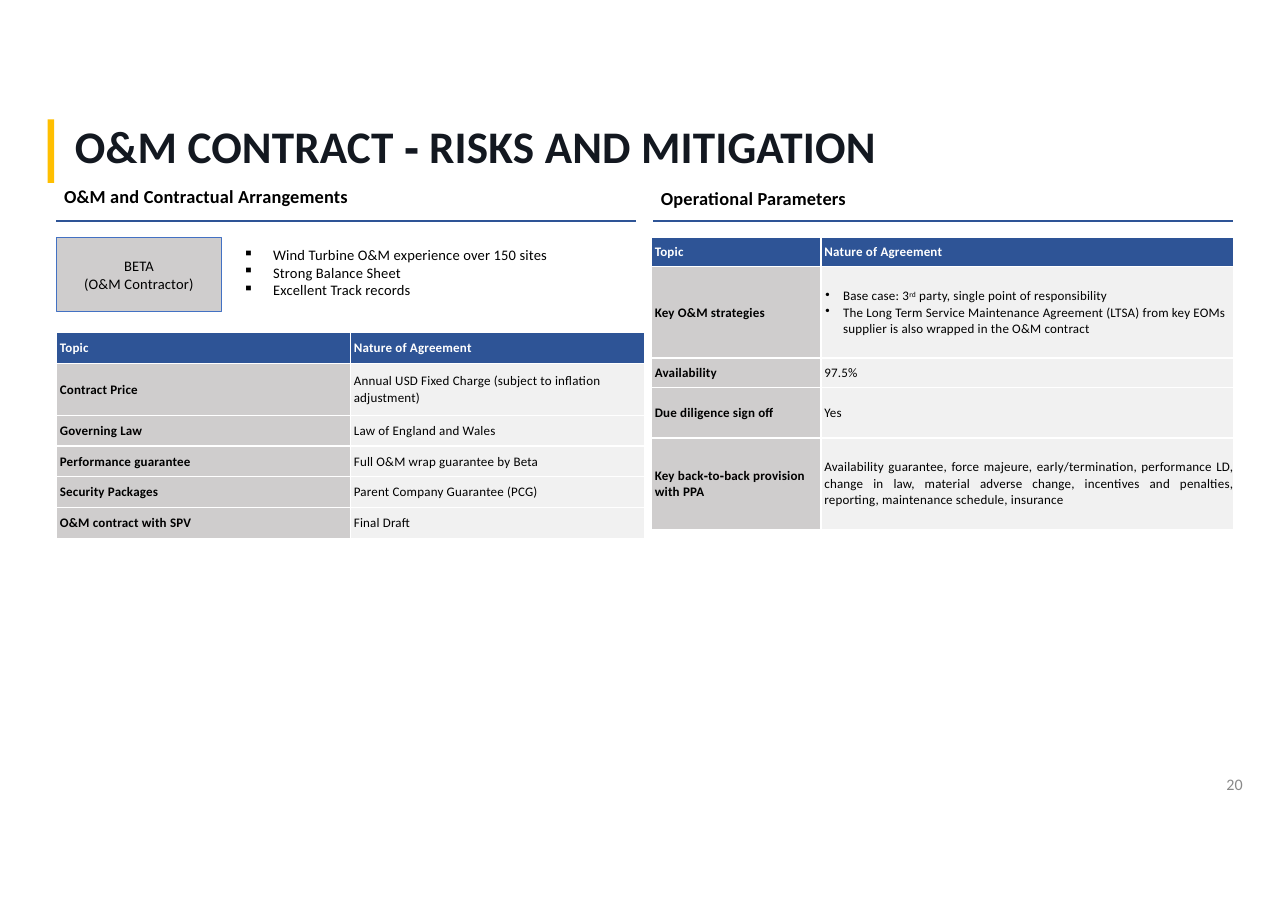
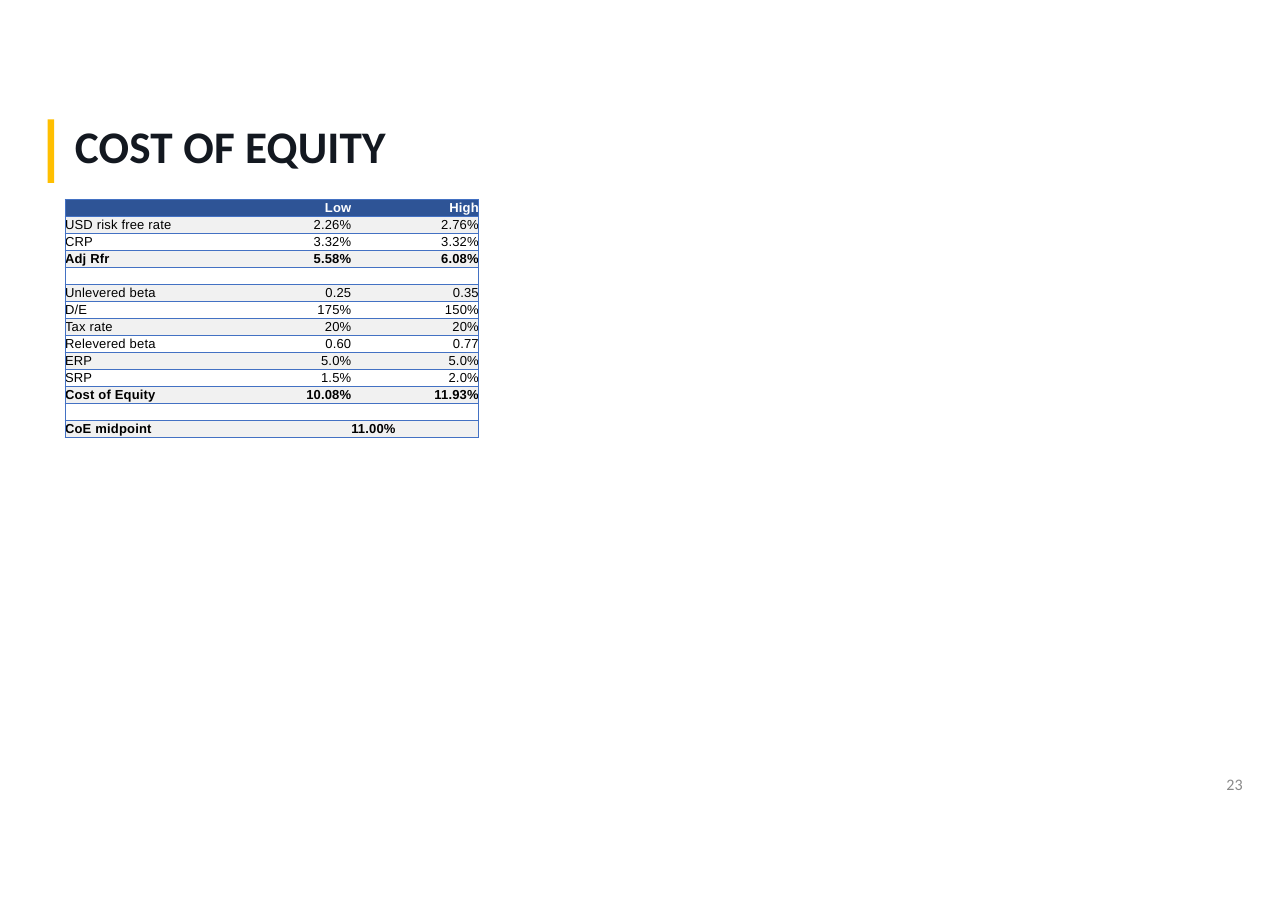
from dataclasses import dataclass

import lxml.etree
import pptx
import pptx.dml.color
import pptx.enum.shapes
import pptx.enum.text
import pptx.oxml.ns
import pptx.util

Cm = pptx.util.Cm
Pt = pptx.util.Pt
qn = pptx.oxml.ns.qn
Align = pptx.enum.text.PP_ALIGN
MIDDLE = pptx.enum.text.MSO_ANCHOR.MIDDLE
NO_TABLE_STYLE = "{2D5ABB26-0587-4C30-8999-92F81FD0307C}"


@dataclass(frozen=True)
class Theme:
    font: str = "Calibri"
    figures_font: str = "Arial"
    title: str = "131820"
    text: str = "000000"
    white: str = "FFFFFF"
    accent: str = "FFBF00"
    header: str = "2E5496"
    border: str = "4371C3"
    label: str = "CFCDCD"
    pale: str = "F1F1F1"
    muted: str = "898989"
    title_size: float = 29.5
    heading_size: float = 12
    number_size: float = 10.5
    body_size: float = 9.5
    table_size: float = 8.5


THEME = Theme()


def rgb(value):
    return pptx.dml.color.RGBColor.from_string(value)


# Text

def add_bullet(paragraph, character, margin, hanging):
    properties = paragraph._p.get_or_add_pPr()
    properties.set("marL", str(Cm(margin)))
    properties.set("indent", str(-Cm(hanging)))
    lxml.etree.SubElement(properties, qn("a:buChar")).set("char", character)


def write(frame, lines, size, color=THEME.text, bold=False, font=THEME.font,
          align=Align.LEFT, spacing=None, bullet=None):
    """Write one paragraph per line; text between carets is superscript."""
    for index, line in enumerate(lines):
        paragraph = frame.paragraphs[0] if index == 0 else frame.add_paragraph()
        if bullet:
            add_bullet(paragraph, *bullet)
        paragraph.alignment = align
        if spacing:
            paragraph.line_spacing = spacing
        paragraph.font.name = font
        paragraph.font.size = Pt(size)
        paragraph.font.bold = bold
        paragraph.font.color.rgb = rgb(color)
        paragraph._p.pPr.find(qn("a:defRPr")).set("spc", "10")
        if not line:
            paragraph._p.get_or_add_endParaRPr().set("sz", str(int(size * 100)))
            continue
        for position, part in enumerate(line.split("^")):
            run = paragraph.add_run()
            run.text = part
            if position % 2:
                run.font._element.set("baseline", "25000")


def prepare(frame, anchor=None):
    frame.word_wrap = True
    frame.margin_left = frame.margin_right = 0
    frame.margin_top = frame.margin_bottom = 0
    if anchor is not None:
        frame.vertical_anchor = anchor


def add_text(slide, box, lines, size, anchor=None, **style):
    shape = slide.shapes.add_textbox(*map(Cm, box))
    prepare(shape.text_frame, anchor)
    write(shape.text_frame, lines, size, **style)


# Shapes

def add_box(slide, box, fill, line=None):
    shape = slide.shapes.add_shape(
        pptx.enum.shapes.MSO_SHAPE.RECTANGLE, *map(Cm, box))
    shape.shadow.inherit = False
    shape.fill.solid()
    shape.fill.fore_color.rgb = rgb(fill)
    if line:
        shape.line.color.rgb = rgb(line)
        shape.line.width = Pt(0.75)
    else:
        shape.line.fill.background()
    return shape


def add_rule(slide, left, top, width):
    rule = slide.shapes.add_connector(
        pptx.enum.shapes.MSO_CONNECTOR.STRAIGHT,
        Cm(left), Cm(top), Cm(left + width), Cm(top))
    rule.line.color.rgb = rgb(THEME.header)
    rule.line.width = Pt(1.25)
    lxml.etree.SubElement(rule._element.spPr, qn("a:effectLst"))


# Tables

def add_table(slide, left, top, widths, heights):
    frame = slide.shapes.add_table(
        len(heights), len(widths), Cm(left), Cm(top),
        Cm(sum(widths)), Cm(sum(heights)))
    table = frame.table
    table.first_row = table.horz_banding = False
    table._tbl.tblPr.find(qn("a:tableStyleId")).text = NO_TABLE_STYLE
    for column, width in zip(table.columns, widths):
        column.width = Cm(width)
    for row, height in zip(table.rows, heights):
        row.height = Cm(height)
    return table


def format_cell(cell, fill, sides, color, width):
    """Set margins, then borders on the given sides, then the fill."""
    cell.margin_left = cell.margin_right = 0
    cell.margin_top = cell.margin_bottom = 0
    cell.vertical_anchor = MIDDLE
    properties = cell._tc.get_or_add_tcPr()
    for side in sides:
        line = lxml.etree.SubElement(properties, qn("a:ln" + side))
        line.set("w", str(Pt(width)))
        solid = lxml.etree.SubElement(line, qn("a:solidFill"))
        lxml.etree.SubElement(solid, qn("a:srgbClr")).set("val", color)
    if fill:
        cell.fill.solid()
        cell.fill.fore_color.rgb = rgb(fill)
    else:
        cell.fill.background()


def agreement_table(slide, left, top, widths, heights, topics):
    table = add_table(slide, left, top, widths, heights)
    rows = [("Topic", "Nature of Agreement"), *topics]
    for row, contents in enumerate(rows):
        for column, content in enumerate(contents):
            cell = table.cell(row, column)
            fill = (THEME.header if row == 0
                    else THEME.pale if column else THEME.label)
            format_cell(cell, fill, "LRTB", THEME.white, 1)
            cell.margin_left = Cm(0.08)
            bulleted = isinstance(content, list)
            # Three or more lines of running text are justified
            long_text = not bulleted and len(content) > 100
            write(cell.text_frame, content if bulleted else [content],
                  THEME.table_size,
                  color=THEME.text if row else THEME.white,
                  bold=row == 0 or column == 0,
                  align=Align.JUSTIFY if long_text else Align.LEFT,
                  spacing=1.03,
                  bullet=("•", 0.43, 0.41) if bulleted else None)


def equity_table(slide, left, top, widths, height, rows, totals):
    table = add_table(slide, left, top, widths, [height / len(rows)] * len(rows))
    last = len(widths)
    table.cell(0, 0).merge(table.cell(0, 1))
    for row, contents in enumerate(rows):
        if not any(contents):
            table.cell(row, 0).merge(table.cell(row, last - 1))
        for column, content in enumerate(contents):
            cell = table.cell(row, column)
            sides = "L" if column == 0 else ""
            if column + cell.span_width == last:
                sides += "R"
            fill = (THEME.header if row == 0
                    else THEME.pale if row % 2 else None)
            format_cell(cell, fill, sides + "TB", THEME.border, 0.5)
            # Figures sit right, labels and the midpoint sit left
            right = row == 0 or column in (1, last - 1)
            write(cell.text_frame, [content], THEME.table_size,
                  color=THEME.text if row else THEME.white,
                  font=THEME.figures_font,
                  bold=row == 0 or contents[0] in totals,
                  align=Align.RIGHT if right else Align.LEFT)


# Regions

def add_slide(presentation, title, number):
    slide = presentation.slides.add_slide(presentation.slide_layouts[6])
    add_box(slide, (1.1, 2.75, 0.15, 1.47), THEME.accent)
    add_text(slide, (1.73, 2.74, 24, 1.3), [title], THEME.title_size,
             color=THEME.title, bold=True)
    add_text(slide, (28.28, 17.88, 0.8, 0.39), [number], THEME.number_size,
             anchor=MIDDLE, color=THEME.muted)
    return slide


def section_heading(slide, left, top, width, rule_top, heading):
    add_text(slide, (left + 0.18, top, width - 0.18, 0.6), [heading],
             THEME.heading_size, bold=True)
    add_rule(slide, left, rule_top, width)


def contractor_panel(slide, left, top, name, strengths):
    shape = add_box(slide, (left, top, 3.81, 1.7), THEME.label, THEME.border)
    prepare(shape.text_frame, MIDDLE)
    write(shape.text_frame, name, THEME.body_size, align=Align.CENTER)
    add_text(slide, (left + 4.26, top + 0.2, 8, 1.3), strengths,
             THEME.body_size, bullet=("▪", 0.74, 0.69))


# Slides

def contract_slide(presentation):
    slide = add_slide(presentation, "O&M CONTRACT ‐ RISKS AND MITIGATION", "20")
    section_heading(slide, 1.3, 4.27, 13.36, 5.09,
                    "O&M and Contractual Arrangements")
    section_heading(slide, 15.06, 4.32, 13.38, 5.09, "Operational Parameters")
    contractor_panel(
        slide, 1.3, 5.48, ["BETA", "(O&M Contractor)"],
        ["Wind Turbine O&M experience over 150 sites",
         "Strong Balance Sheet",
         "Excellent Track records"])
    agreement_table(
        slide, 15.02, 5.46, [3.91, 9.52], [0.69, 2.1, 0.69, 1.16, 2.1],
        [("Key O&M strategies",
          ["Base case: 3^rd^ party, single point of responsibility",
           "The Long Term Service Maintenance Agreement (LTSA) from key EOMs "
           "supplier is also wrapped in the O&M contract"]),
         ("Availability", "97.5%"),
         ("Due diligence sign off", "Yes"),
         ("Key back‐to‐back provision with PPA",
          "Availability guarantee, force majeure, early/termination, "
          "performance LD, change in law, material adverse change, incentives "
          "and penalties, reporting, maintenance schedule, insurance")])
    agreement_table(
        slide, 1.3, 7.67, [6.78, 6.78], [0.71, 1.19] + [0.71] * 4,
        [("Contract Price",
          "Annual USD Fixed Charge (subject to inflation adjustment)"),
         ("Governing Law", "Law of England and Wales"),
         ("Performance guarantee", "Full O&M wrap guarantee by Beta"),
         ("Security Packages", "Parent Company Guarantee (PCG)"),
         ("O&M contract with SPV", "Final Draft")])


def equity_slide(presentation):
    slide = add_slide(presentation, "COST OF EQUITY", "23")
    blank = ("", "", "", "")
    equity_table(
        slide, 1.5, 4.59, [4.01, 2.59, 1.47, 1.47], 5.51,
        [("Low", "", "", "High"),
         ("USD risk free rate", "2.26%", "", "2.76%"),
         ("CRP", "3.32%", "", "3.32%"),
         ("Adj Rfr", "5.58%", "", "6.08%"),
         blank,
         ("Unlevered beta", "0.25", "", "0.35"),
         ("D/E", "175%", "", "150%"),
         ("Tax rate", "20%", "", "20%"),
         ("Relevered beta", "0.60", "", "0.77"),
         ("ERP", "5.0%", "", "5.0%"),
         ("SRP", "1.5%", "", "2.0%"),
         ("Cost of Equity", "10.08%", "", "11.93%"),
         blank,
         ("CoE midpoint", "", "11.00%", "")],
        totals={"Adj Rfr", "Cost of Equity", "CoE midpoint"})


def main():
    presentation = pptx.Presentation()
    presentation.slide_width = Cm(29.7)
    presentation.slide_height = Cm(21)
    contract_slide(presentation)
    equity_slide(presentation)
    presentation.save("out.pptx")


if __name__ == "__main__":
    main()
